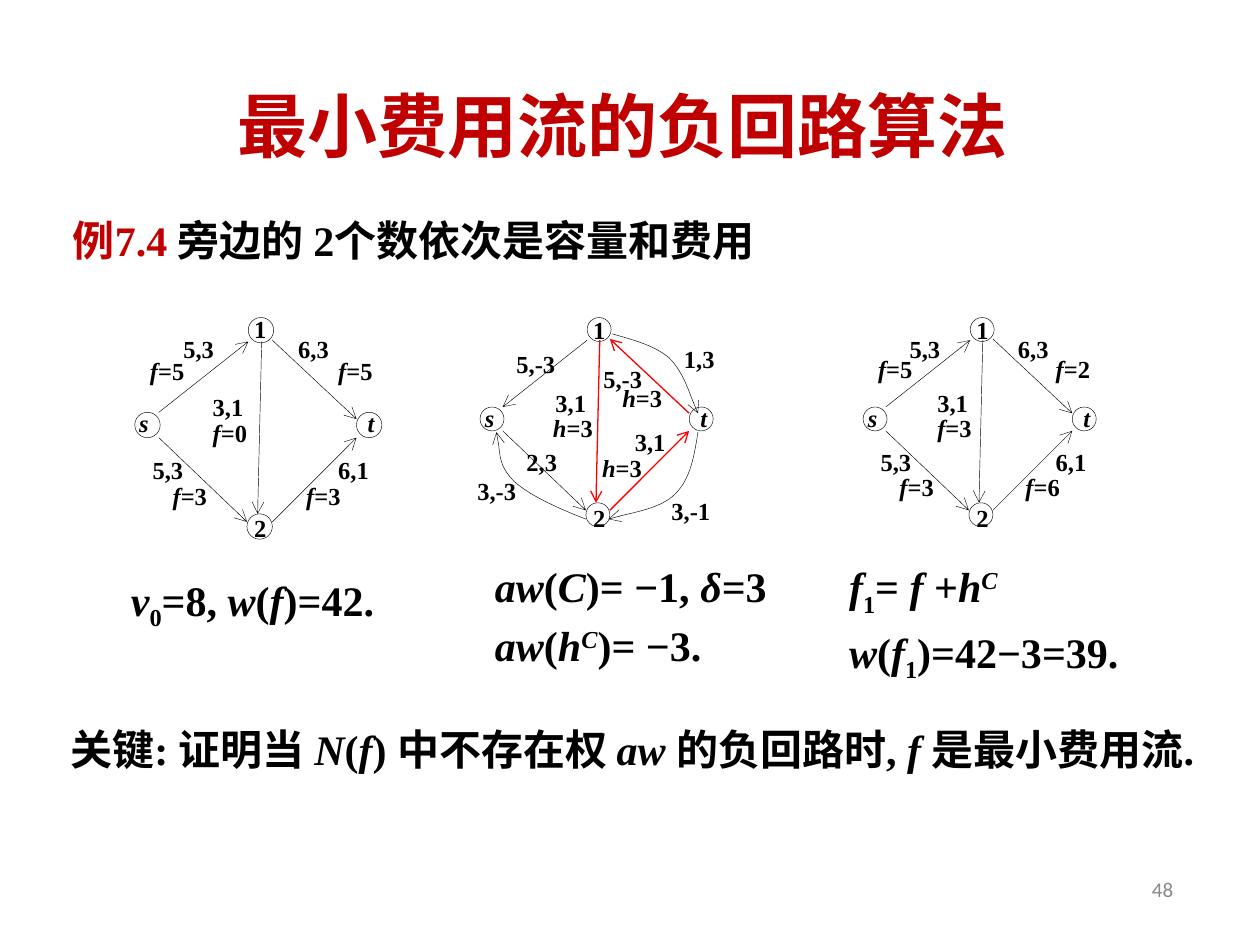
from lxml import etree
from pptx import Presentation
from pptx.dml.color import RGBColor
from pptx.enum.shapes import MSO_CONNECTOR as CONN, MSO_SHAPE as SHAPE
from pptx.enum.text import MSO_ANCHOR as ANCHOR, PP_ALIGN as ALIGN
from pptx.oxml.ns import qn
from pptx.util import Inches, Pt

SERIF = "Times New Roman"
BLACK, RED, DARK_RED, GREY, WHITE = "000000", "FF0000", "C00000", "898989", "FFFFFF"
GRAPH_TOP = 2.52
NODES = {"*s*": (0, 0.71), "1": (0.85, 0), "*t*": (1.66, 0.71), "2": (0.84, 1.47)}
NAME_SHIFTS = {"*s*": (-0.06, -0.08), "1": (-0.05, -0.07), "*t*": (-0.01, -0.08), "2": (-0.04, -0.05)}
EDGES = {
    "s1": ((0.18, 0.71), (0.85, 0.18)),
    "s2": ((0.18, 0.9), (0.84, 1.53)),
    "12": ((0.95, 0.18), (0.92, 1.47)),
    "1t": ((1.03, 0.17), (1.66, 0.76)),
    "2t": ((1.03, 1.53), (1.66, 0.9)),
}
COST_SPOTS = {"s1": (0.27, 0.08), "s2": (0.04, 0.98), "12": (0.49, 0.51),
              "1t": (1.13, 0.08), "2t": (1.43, 0.98)}
FLOW_SPOTS = {"s1": (0.02, 0.24), "s2": (0.19, 1.18), "12": (0.49, 0.71),
              "1t": (1.43, 0.24), "2t": (1.19, 1.18)}
COSTS = {"s1": "5,3", "s2": "5,3", "12": "3,1", "1t": "6,3", "2t": "6,1"}
RESIDUAL_LABELS = [
    ("5,-3", 0.19, 0.2), ("3,1", 0.5, 0.51), ("2,3", 0.27, 0.98), ("3,-3", -0.12, 1.21),
    ("1,3", 1.52, 0.16), ("5,-3", 0.88, 0.32), ("3,1", 1.13, 0.82), ("3,-1", 1.42, 1.37),
    ("*h*=3", 0.48, 0.71), ("*h*=3", 0.87, 1.03), ("*h*=3", 1.03, 0.47),
]
RESIDUAL_CURVES = [
    [(1.05, 0.13), (1.22, 0.18), (1.38, 0.22), (1.5, 0.32), (1.61, 0.43), (1.69, 0.68), (1.73, 0.76)],
    [(1.73, 0.91), (1.7, 1.1), (1.67, 1.28), (1.55, 1.4), (1.44, 1.51), (1.11, 1.57), (1.02, 1.6)],
    [(0.84, 1.6), (0.61, 1.51), (0.39, 1.41), (0.27, 1.3), (0.15, 1.18), (0.15, 0.98), (0.13, 0.91)],
]


def rgb(value):
    """Return a colour from a hex string."""
    return RGBColor.from_string(value)


def style_font(font, size, color=BLACK, bold=True, name=SERIF):
    """Set the size, colour, weight and typeface of a font."""
    font.size, font.bold, font.name = Pt(size), bold, name
    font.color.rgb = rgb(color)


def add_runs(p, markup):
    """Add runs: * toggles italic, _ subscript, ^ superscript, # dark red."""
    on, text = set(), ""
    for ch in markup + "*":
        if ch not in "*_^#":
            text += ch
            continue
        if text:
            r = p.add_run()
            r.text = text
            if "*" in on:
                r.font.italic = True
            if "#" in on:
                r.font.color.rgb = rgb(DARK_RED)
            for mark, shift in (("_", "-25000"), ("^", "30000")):
                if mark in on:
                    r.font._element.set("baseline", shift)
        on, text = on ^ {ch}, ""


def add_text(s, box, lines, size, align=ALIGN.LEFT, hanging=False):
    """Add a text box of marked-up lines and return its frame."""
    tf = s.shapes.add_textbox(*map(Inches, box)).text_frame
    tf.word_wrap = True
    for i, line in enumerate(lines):
        p = tf.paragraphs[0] if i == 0 else tf.add_paragraph()
        p.alignment = align
        if i:
            p.space_before = Pt(0.2 * size)
        if hanging:
            pPr = p._p.get_or_add_pPr()
            pPr.set("marL", str(Inches(0.38)))
            pPr.set("indent", str(Inches(-0.38)))
        style_font(p.font, size)
        add_runs(p, line)
    return tf


def style_arrow(line, color=BLACK, width=0.25, end="tailEnd"):
    """Colour a line and put an open arrowhead on one end."""
    line.color.rgb, line.width = rgb(color), Pt(width)
    etree.SubElement(line._get_or_add_ln(), qn("a:" + end), type="arrow")


class Graph:
    """A four-node network placed by its left edge and scale."""

    def __init__(self, s, left, scale=1):
        self.s, self.left, self.scale = s, left, scale

    def at(self, x, y):
        """Return the slide position of a point in the network."""
        return Inches(self.left + x * self.scale), Inches(GRAPH_TOP + y * self.scale)

    def add_label(self, markup, x, y):
        """Add a small label."""
        left, top = self.at(x, y)
        add_text(self.s, (left.inches, top.inches, 0.55, 0.4), [markup], 14, ALIGN.JUSTIFY)

    def add_nodes(self):
        """Add the circles and their names."""
        size = Inches(0.19 * self.scale)
        for name, (x, y) in NODES.items():
            sp = self.s.shapes.add_shape(SHAPE.OVAL, *self.at(x, y), size, size)
            sp.shadow.inherit = False
            sp.fill.solid()
            sp.fill.fore_color.rgb = rgb(WHITE)
            sp.line.color.rgb, sp.line.width = rgb(BLACK), Pt(0.25)
            dx, dy = NAME_SHIFTS[name]
            self.add_label(name, x + dx, y + dy)

    def add_edges(self, reverse=(), cycle=()):
        """Add the straight arrows, reversed or red where asked."""
        for key, (start, end) in EDGES.items():
            c = self.s.shapes.add_connector(CONN.STRAIGHT, *self.at(*start), *self.at(*end))
            color, width = (RED, 0.75) if key in cycle else (BLACK, 0.25)
            style_arrow(c.line, color, width, "headEnd" if key in reverse else "tailEnd")
            etree.SubElement(c._element.spPr, qn("a:effectLst"))

    def add_curve(self, points):
        """Add a curved arrow from a start point and Bezier triples."""
        start, *rest = [self.at(*pt) for pt in points]
        fb = self.s.shapes.build_freeform(*start)
        fb.add_line_segments(rest, close=False)
        sp = fb.convert_to_shape()
        outline = sp._element.find(".//" + qn("a:path"))
        steps = outline.findall(qn("a:lnTo"))
        for i in range(0, len(steps), 3):
            bezier = etree.SubElement(outline, qn("a:cubicBezTo"))
            for step in steps[i:i + 3]:
                bezier.append(step[0])
                outline.remove(step)
        sp.shadow.inherit = False
        sp.fill.background()
        style_arrow(sp.line)


def add_flow_graph(s, left, scale, flows):
    """Add a network labelled with capacity, cost and flow."""
    g = Graph(s, left, scale)
    g.add_nodes()
    g.add_edges()
    for key, flow in flows.items():
        g.add_label(COSTS[key], *COST_SPOTS[key])
        g.add_label(f"*f*={flow}", *FLOW_SPOTS[key])


def add_residual_graph(s, left):
    """Add the residual network with its negative cycle in red."""
    g = Graph(s, left)
    g.add_nodes()
    g.add_edges(reverse=("s1", "1t"), cycle=("12", "1t", "2t"))
    for points in RESIDUAL_CURVES:
        g.add_curve(points)
    for label in RESIDUAL_LABELS:
        g.add_label(*label)


def add_title(s, text):
    """Place and format the title placeholder."""
    sp = s.shapes.title
    sp.left, sp.top, sp.width, sp.height = map(Inches, (0.44, 0.36, 9, 1.25))
    sp.text_frame.text = text
    sp.text_frame.vertical_anchor = ANCHOR.MIDDLE
    p = sp.text_frame.paragraphs[0]
    p.alignment = ALIGN.CENTER
    style_font(p.font, 40, DARK_RED)


def main():
    """Build the slide."""
    prs = Presentation()
    prs.slide_width, prs.slide_height = Inches(10), Inches(7.5)
    s = prs.slides.add_slide(prs.slide_layouts[5])
    add_title(s, "最小费用流的负回路算法")
    add_flow_graph(s, 1.07, 1.06, {"s1": 5, "s2": 3, "12": 0, "1t": 5, "2t": 3})
    add_residual_graph(s, 3.81)
    add_flow_graph(s, 6.85, 1, {"s1": 5, "s2": 3, "12": 3, "1t": 2, "2t": 6})
    for box, lines in (
        ((0.48, 1.65, 9, 0.55), ["#例7.4 #旁边的 2个数依次是容量和费用"]),
        ((0.94, 4.51, 2.65, 0.66), ["*v*_0_=8, *w*(*f*)=42."]),
        ((3.83, 4.4, 2.5, 1.09), ["*aw*(*C*)= −1, *δ*=3", "*aw*(*h^C^*)= −3."]),
        ((6.64, 4.4, 2.5, 1.17), ["*f*_1_= *f *+*h^C^*", "*w*(*f*_1_)=42−3=39."]),
        ((0.46, 5.69, 9.65, 0.94),
         ["关键: 证明当 *N*(*f*) 中不存在权 *aw *的负回路时, *f *是最小费用流."]),
    ):
        add_text(s, box, lines, 24, hanging=True)
    tf = add_text(s, (7.08, 6.86, 2.33, 0.4), ["48"], 12, ALIGN.RIGHT)
    tf.vertical_anchor = ANCHOR.MIDDLE
    style_font(tf.paragraphs[0].font, 12, GREY, False, "Calibri")
    prs.save("out.pptx")


if __name__ == "__main__":
    main()
